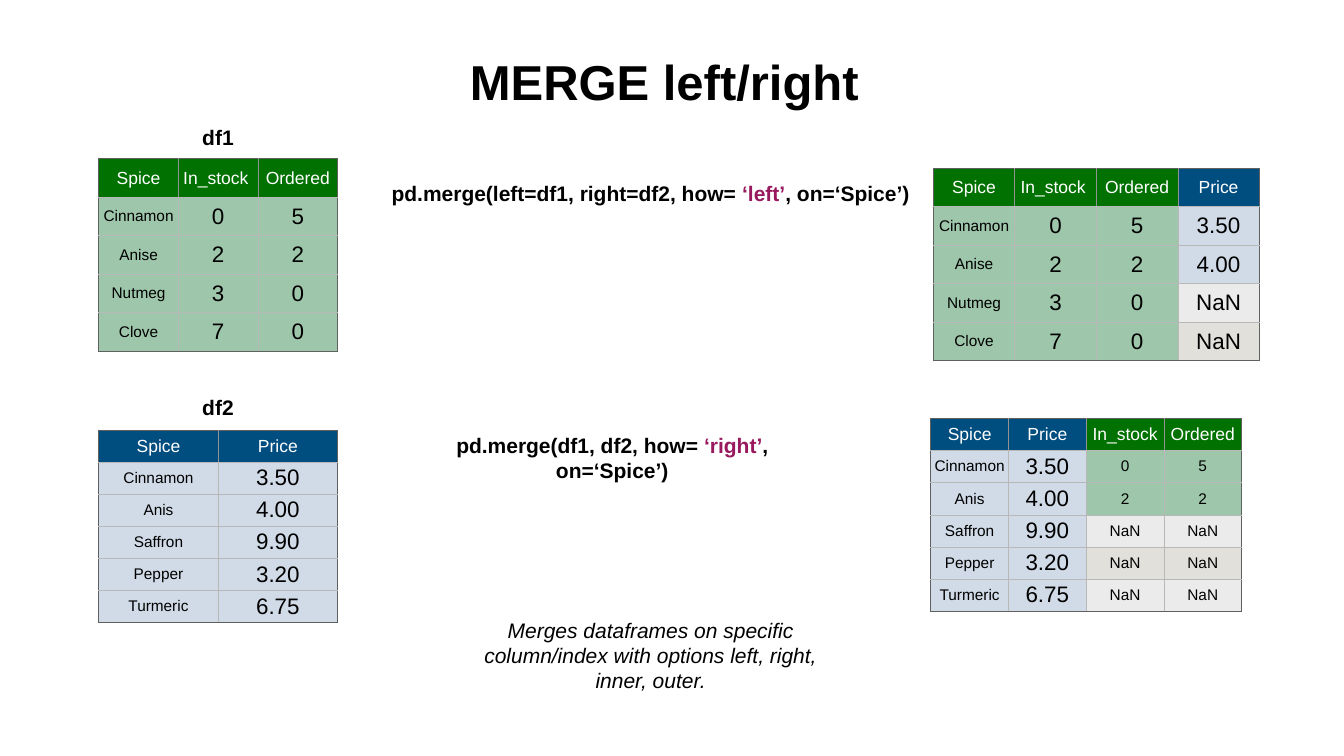
from lxml import etree
from pptx import Presentation
from pptx.dml.color import RGBColor
from pptx.enum.text import MSO_ANCHOR, MSO_AUTO_SIZE, PP_ALIGN
from pptx.oxml.ns import qn
from pptx.util import Inches, Pt

MIDDLE = MSO_ANCHOR.MIDDLE
CENTER = PP_ALIGN.CENTER
GROW, FIXED = MSO_AUTO_SIZE.SHAPE_TO_FIT_TEXT, MSO_AUTO_SIZE.NONE

FONT = "Arial"
BLACK, WHITE, PLUM = "000000", "FFFFFF", "99195E"
GREEN, BLUE = "017101", "004D80"
BODY_FILL = {GREEN: "9EC6AA", BLUE: "D0DBE7"}
NAN_FILLS = ["E1E0DA", "EBEBEB"]  # even rows, odd rows
OUTER, HEADER_RULE, BODY_RULE = "606060", "929292", "B8B8B8"
INSET = 0.06

STOCK = [
    ("Spice", "In_stock ", "Ordered"),
    ("Cinnamon", "0", "5"),
    ("Anise", "2", "2"),
    ("Nutmeg", "3", "0"),
    ("Clove", "7", "0"),
]
PRICES = [
    ("Spice", "Price"),
    ("Cinnamon", "3.50"),
    ("Anis", "4.00"),
    ("Saffron", "9.90"),
    ("Pepper", "3.20"),
    ("Turmeric", "6.75"),
]
PRICE_MATCHES = [("Price",), ("3.50",), ("4.00",), ("NaN",), ("NaN",)]
STOCK_MATCHES = [("In_stock", "Ordered"), ("0", "5"), ("2", "2")] + [("NaN", "NaN")] * 3


def join_columns(left, right):
    return [a + b for a, b in zip(left, right)]


# rows, (left, top, width, height), column colours, body text sizes by column
TABLES = [
    (STOCK, (1.96, 3.15, 4.74, 3.82), [GREEN] * 3, [22, 32, 32]),
    (PRICES, (1.96, 8.53, 4.74, 3.82), [BLUE] * 2, [22, 32]),
    (join_columns(STOCK, PRICE_MATCHES), (18.52, 3.33, 6.47, 3.83),
     [GREEN] * 3 + [BLUE], [22, 32, 32, 32]),
    (join_columns(PRICES, STOCK_MATCHES), (18.47, 8.3, 6.17, 3.83),
     [BLUE] * 2 + [GREEN] * 2, [22, 32, 22, 22]),
]

# spans of (text, colour), (left, top, width, height), options
TEXTS = [
    ([("MERGE left/right", BLACK)], (9.21, 0.98, 7.95, 1.26), {"size": 70}),
    ([("pd.merge(left=df1, right=df2, how= ", BLACK), ("‘left’", PLUM),
      (", on=‘Spice’)", BLACK)], (7.7, 3.52, 10.42, 0.61), {}),
    ([("pd.merge(df1, df2, how= ", BLACK), ("‘right’", PLUM),
      (", on=‘Spice’)", BLACK)], (9.01, 8.78, 8.65, 0.61),
     {"wrap": True, "fit": FIXED, "sides": (0, 2.37)}),
    ([("df1", BLACK)], (3.95, 2.41, 0.75, 0.61), {}),
    ([("df2", BLACK)], (3.95, 7.77, 0.75, 0.61), {}),
    ([("Merges dataframes on specific column/index with options "
       "left, right, inner, outer.", BLACK)], (9.47, 12.2, 6.88, 1.6),
     {"wrap": True, "italic": True}),
]


def color(value):
    return RGBColor.from_string(value)


def set_font(font, size, bold=False, italic=False):
    font.name, font.size, font.bold, font.italic = FONT, Pt(size), bold, italic


def set_borders(cell, borders):
    """Draw 1 pt cell borders; must run before the cell is filled."""
    properties = cell._tc.get_or_add_tcPr()
    for side in "LRTB":
        line = etree.SubElement(properties, qn(f"a:ln{side}"), w=str(Pt(1)))
        fill = etree.SubElement(line, qn("a:solidFill"))
        etree.SubElement(fill, qn("a:srgbClr"), val=borders[side])


def add_spice_table(page, rows, place, colors, sizes):
    row_count, column_count = len(rows), len(colors)
    left, top, width, height = map(Inches, place)
    table = page.shapes.add_table(row_count, column_count, left, top, width, height).table
    table.first_row = table.horz_banding = False
    for column in table.columns:
        column.width = width // column_count
    for row in table.rows:
        row.height = height // row_count

    for r, values in enumerate(rows):
        header = r == 0
        rule = HEADER_RULE if header else BODY_RULE
        for c, value in enumerate(values):
            cell = table.cell(r, c)
            set_borders(cell, {
                "L": OUTER if c == 0 else rule,
                "R": OUTER if c == column_count - 1 else rule,
                "T": OUTER if header else BODY_RULE,
                "B": OUTER if header or r == row_count - 1 else BODY_RULE,
            })
            if header:
                fill = colors[c]
            elif value == "NaN":
                fill = NAN_FILLS[r % 2]
            else:
                fill = BODY_FILL[colors[c]]
            cell.fill.solid()
            cell.fill.fore_color.rgb = color(fill)
            cell.vertical_anchor = MIDDLE
            cell.margin_left = cell.margin_right = Inches(INSET)
            cell.margin_top = cell.margin_bottom = Inches(INSET)
            cell.text = value
            para = cell.text_frame.paragraphs[0]
            para.alignment = CENTER
            set_font(para.font, 25 if header else sizes[c])
            para.font.color.rgb = color(WHITE if header else BLACK)


def add_text(page, spans, place, size=30, italic=False, wrap=False, fit=GROW,
             sides=(INSET, INSET)):
    frame = page.shapes.add_textbox(*map(Inches, place)).text_frame
    frame.word_wrap, frame.auto_size = wrap, fit
    frame.vertical_anchor = MIDDLE
    frame.margin_left, frame.margin_right = map(Inches, sides)
    frame.margin_top = frame.margin_bottom = Inches(INSET)
    para = frame.paragraphs[0]
    para.alignment = CENTER
    set_font(para.font, size, bold=not italic, italic=italic)
    for text, shade in spans:
        span = para.add_run()
        span.text = text
        span.font.color.rgb = color(shade)


def main():
    deck = Presentation()
    deck.slide_width, deck.slide_height = Inches(26.67), Inches(15)
    page = deck.slides.add_slide(deck.slide_layouts[6])
    for table in TABLES:
        add_spice_table(page, *table)
    for spans, place, options in TEXTS:
        add_text(page, spans, place, **options)
    deck.save("out.pptx")


if __name__ == "__main__":
    main()
